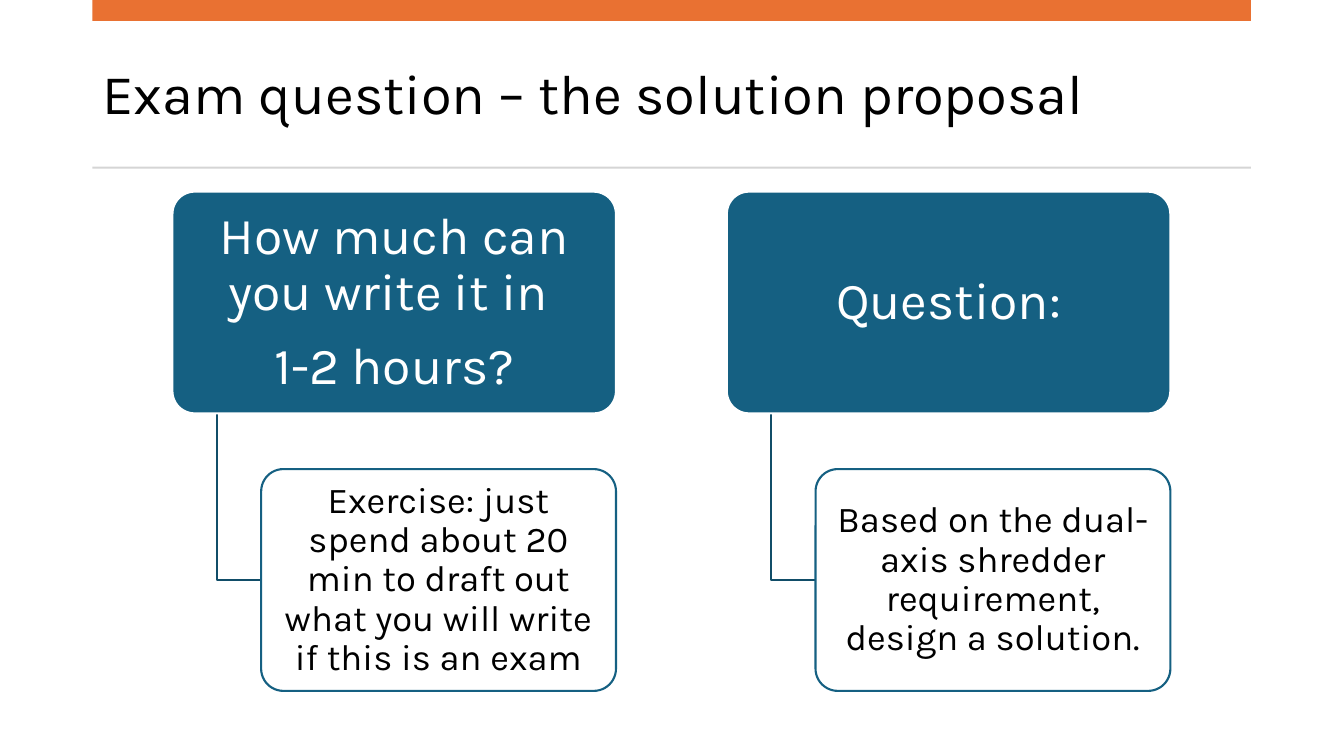
from pptx import Presentation
from pptx.dml.color import RGBColor
from pptx.enum import shapes, text
from pptx.util import Pt

COLOURS = {
    "orange": "E97132", "rule": "D5D5D5", "blue": "156082",
    "elbow": "114D68", "white": "FFFFFF", "black": "000000",
}
FONT = "Karla"


def colour(name):
    return RGBColor.from_string(COLOURS[name])


def write(shape, lines, size, ink, align, inset_x=7.2, inset_y=3.6):
    """Fill a shape with one paragraph per line, centred vertically."""
    frame = shape.text_frame
    frame.word_wrap = True
    frame.auto_size = text.MSO_AUTO_SIZE.NONE
    frame.vertical_anchor = text.MSO_ANCHOR.MIDDLE
    frame.margin_left = frame.margin_right = Pt(inset_x)
    frame.margin_top = frame.margin_bottom = Pt(inset_y)
    for index, line in enumerate(lines):
        paragraph = frame.add_paragraph() if index else frame.paragraphs[0]
        paragraph.alignment = align
        paragraph.line_spacing = 0.9
        paragraph.space_before = Pt(13 if index else 0)
        run = paragraph.add_run()
        run.text = line
        run.font.name = FONT
        run.font.size = Pt(size)
        run.font.color.rgb = colour(ink)


presentation = Presentation()
presentation.slide_width = Pt(960)
presentation.slide_height = Pt(540)
slide = presentation.slides.add_slide(presentation.slide_layouts[5])

# Title with the bar above it and the rule below it
title = slide.shapes.title
title.left, title.top, title.width, title.height = Pt(66), Pt(26.5), Pt(827.5), Pt(85)
write(title, ["Exam question – the solution proposal"], 40, "black", text.PP_ALIGN.LEFT)

for top, height, fill in [(0, 15, "orange"), (119, 1.5, "rule")]:
    bar = slide.shapes.add_shape(
        shapes.MSO_SHAPE.RECTANGLE, Pt(66), Pt(top), Pt(827.5), Pt(height))
    bar.shadow.inherit = False
    bar.fill.solid()
    bar.fill.fore_color.rgb = colour(fill)
    bar.line.fill.background()

# Two columns, each a heading box with a detail box hanging from it
BOX_WIDTH, BOX_HEIGHT = 316.8, 158.4
INDENT = BOX_WIDTH / 5
HEADING_TOP, DETAIL_TOP = 136.9, 335.1
FIRST_LEFT, COLUMN_STEP = 123.2, 396
COLUMNS = [
    (["How much can you write it in ", "1-2 hours?"],
     "Exercise: just spend about 20 min to draft out what you will write if this is an exam"),
    (["Question:"],
     "Based on the dual-axis shredder requirement, design a solution."),
]

for column, (heading, detail) in enumerate(COLUMNS):
    left = FIRST_LEFT + column * COLUMN_STEP
    elbow_x = left + INDENT / 2
    detail_middle = DETAIL_TOP + BOX_HEIGHT / 2

    builder = slide.shapes.build_freeform(
        Pt(elbow_x), Pt(HEADING_TOP + BOX_HEIGHT))
    builder.add_line_segments(
        [(Pt(elbow_x), Pt(detail_middle)), (Pt(left + INDENT), Pt(detail_middle))],
        close=False)
    elbow = builder.convert_to_shape()
    elbow.shadow.inherit = False
    elbow.fill.background()
    elbow.line.color.rgb = colour("elbow")
    elbow.line.width = Pt(1.5)

    boxes = [
        (left, HEADING_TOP, BOX_WIDTH, "blue", "white", heading, 37, "white", 5.6, 3.7),
        (left + INDENT, DETAIL_TOP, BOX_WIDTH - INDENT, "white", "blue", [detail], 26, "black", 3.9, 2.6),
    ]
    for box_left, top, width, fill, outline, lines, size, ink, inset_x, inset_y in boxes:
        box = slide.shapes.add_shape(
            shapes.MSO_SHAPE.ROUNDED_RECTANGLE,
            Pt(box_left), Pt(top), Pt(width), Pt(BOX_HEIGHT))
        box.adjustments[0] = 0.1
        box.shadow.inherit = False
        box.fill.solid()
        box.fill.fore_color.rgb = colour(fill)
        box.line.color.rgb = colour(outline)
        box.line.width = Pt(1.5)
        write(box, lines, size, ink, text.PP_ALIGN.CENTER, inset_x, inset_y)

presentation.save("out.pptx")
